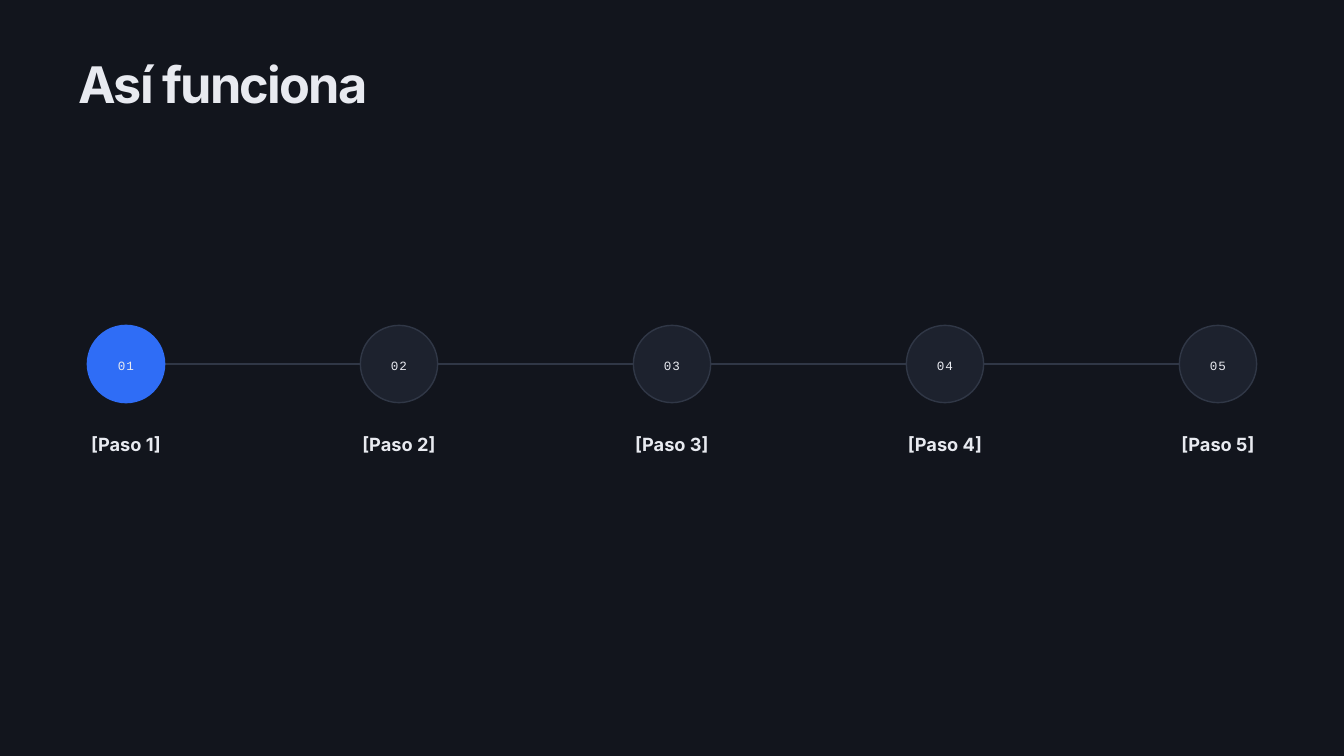
from lxml.etree import SubElement
from pptx import Presentation
from pptx.dml.color import RGBColor
from pptx.enum.shapes import MSO_CONNECTOR, MSO_SHAPE
from pptx.enum.text import MSO_ANCHOR, PP_ALIGN
from pptx.oxml.ns import qn
from pptx.util import Pt

COLORS = {
    "background": "12151D",
    "text": "E8EAF0",
    "accent": "2F6DF6",
    "surface": "1D222E",
    "border": "303746",
}

STEP_COUNT = 5
FIRST_CENTER = 135
STEP_GAP = 292.5
TRACK_Y = 390
DIAMETER = 82.8
LABEL_WIDTH = 180


def color(name):
    return RGBColor.from_string(COLORS[name])


def write_text(frame, text, font, size, line_height, bold=False,
               align=PP_ALIGN.LEFT, spacing=0, inset=0):
    """Fill a text frame with one run; spacing is tracking in points."""
    frame.word_wrap = True
    frame.margin_left = frame.margin_right = Pt(inset)
    frame.margin_top = frame.margin_bottom = Pt(inset)
    paragraph = frame.paragraphs[0]
    paragraph.alignment = align
    paragraph.line_spacing = Pt(line_height)
    run = paragraph.add_run()
    run.text = text
    run.font.name = font
    run.font.size = Pt(size)
    run.font.bold = bold
    run.font.color.rgb = color("text")
    if spacing:
        run._r.get_or_add_rPr().set("spc", str(round(spacing * 100)))


def add_label(slide, left, top, width, height, text, **style):
    box = slide.shapes.add_textbox(Pt(left), Pt(top), Pt(width), Pt(height))
    write_text(box.text_frame, text, font="Inter", bold=True, **style)


def add_track(slide, start, end):
    line = slide.shapes.add_connector(
        MSO_CONNECTOR.STRAIGHT, Pt(start), Pt(TRACK_Y), Pt(end), Pt(TRACK_Y))
    line.line.color.rgb = color("border")
    line.line.width = Pt(1.5)
    SubElement(line._element.spPr, qn("a:effectLst"))


def add_step_circle(slide, center, number, fill, border):
    circle = slide.shapes.add_shape(
        MSO_SHAPE.OVAL, Pt(center - DIAMETER / 2), Pt(TRACK_Y - DIAMETER / 2),
        Pt(DIAMETER), Pt(DIAMETER))
    circle.shadow.inherit = False
    circle.fill.solid()
    circle.fill.fore_color.rgb = color(fill)
    circle.line.color.rgb = color(border)
    circle.line.width = Pt(1.5)
    circle.text_frame.vertical_anchor = MSO_ANCHOR.MIDDLE
    write_text(circle.text_frame, f"{number:02d}", "Courier New", 13.5, 18.9,
               align=PP_ALIGN.CENTER, spacing=1.1, inset=4.5)


def main():
    presentation = Presentation()
    presentation.slide_width = Pt(1440)
    presentation.slide_height = Pt(810)
    slide = presentation.slides.add_slide(presentation.slide_layouts[6])
    slide.background.fill.solid()
    slide.background.fill.fore_color.rgb = color("background")

    # Title
    add_label(slide, 84, 64.8, 1125, 58.3, "Así funciona",
              size=54, line_height=57.2, spacing=-1.9)

    # Track behind the steps
    centers = [FIRST_CENTER + index * STEP_GAP for index in range(STEP_COUNT)]
    add_track(slide, centers[0], centers[-1])

    # Numbered steps, the first one active
    for number, center in enumerate(centers, start=1):
        fill, border = ("accent", "accent") if number == 1 else ("surface", "border")
        add_step_circle(slide, center, number, fill, border)
        add_label(slide, center - LABEL_WIDTH / 2, 465, LABEL_WIDTH, 23,
                  f"[Paso {number}]", size=19.5, line_height=22.4,
                  align=PP_ALIGN.CENTER)

    presentation.save("out.pptx")


if __name__ == "__main__":
    main()
